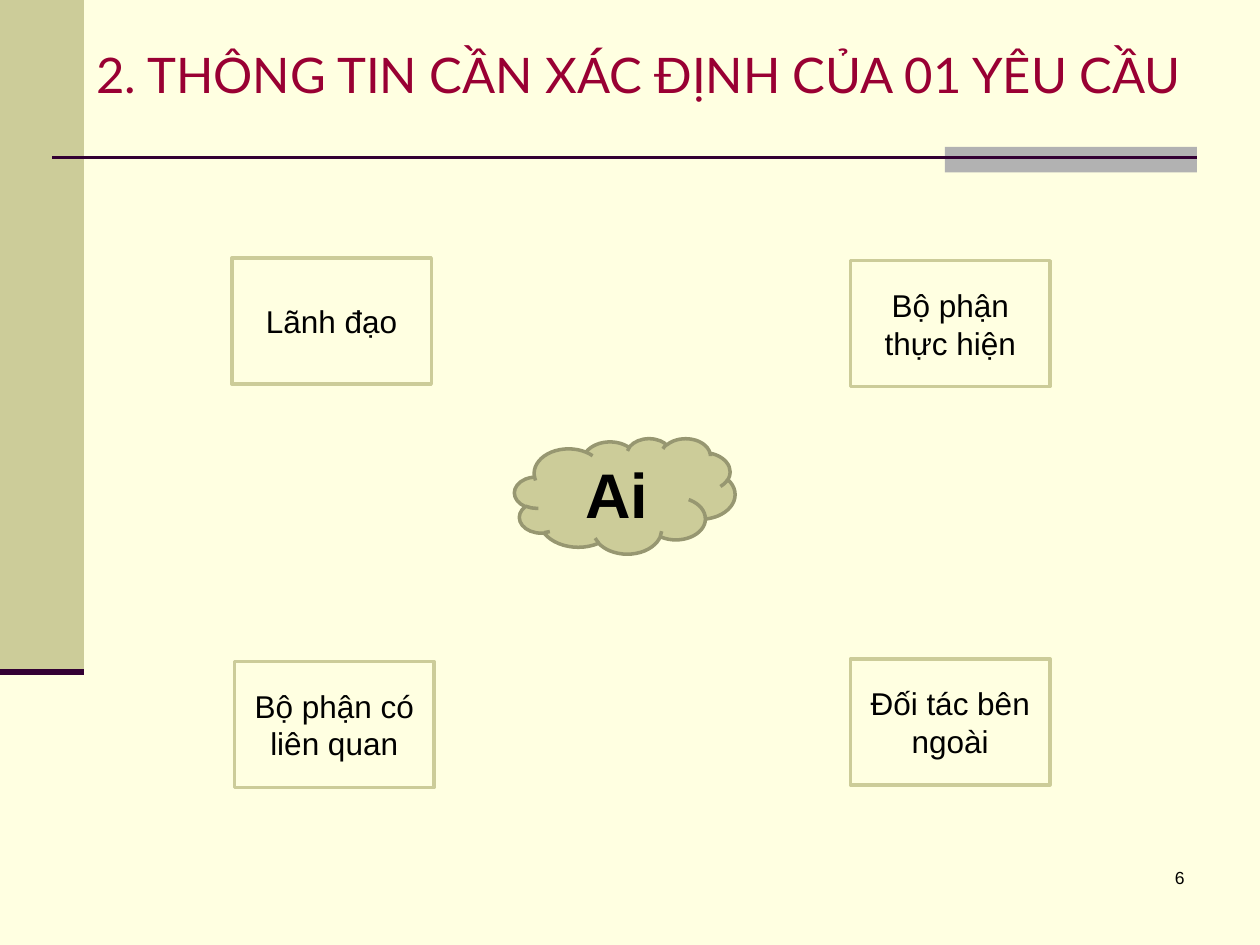
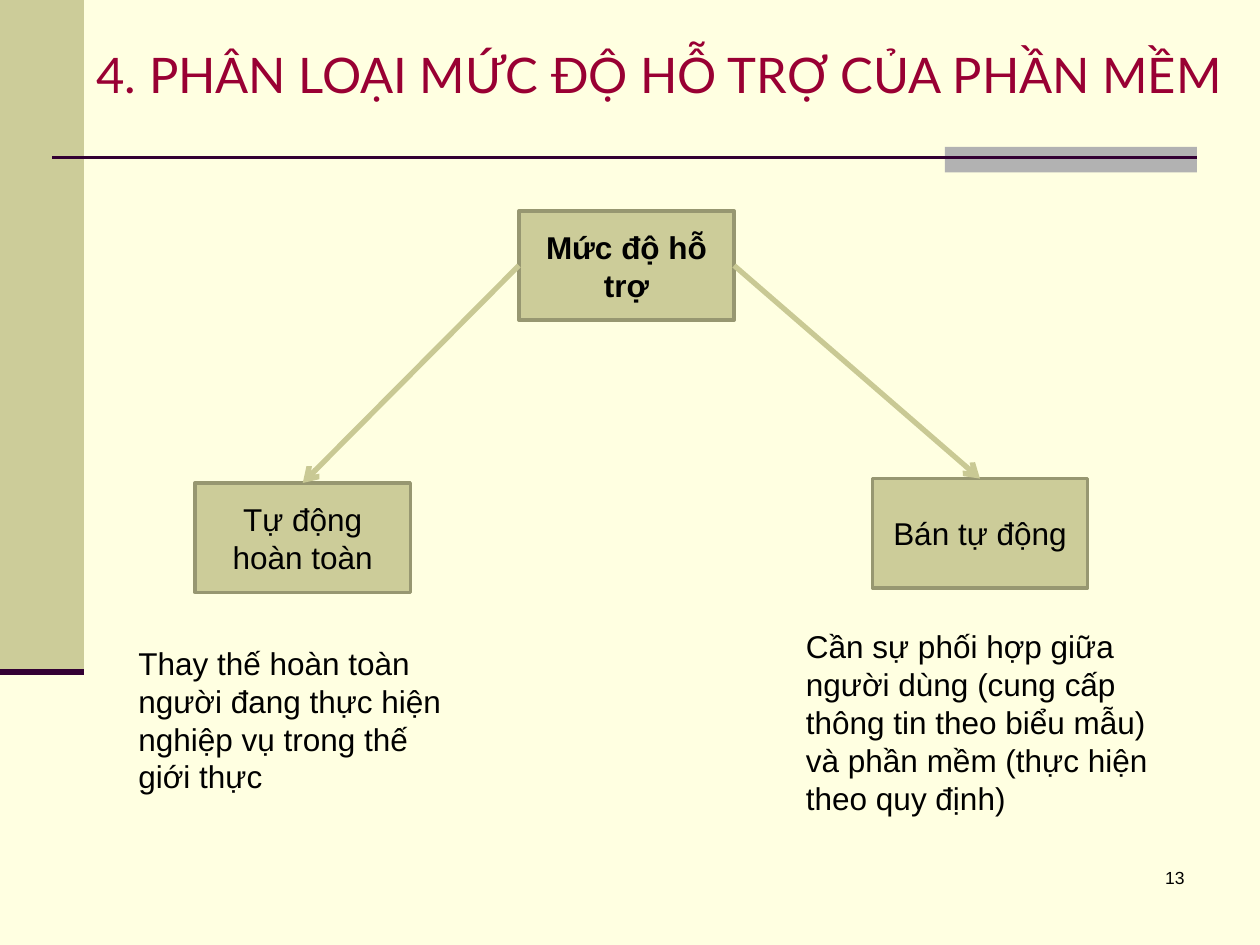
import pptx
import pptx.util
import pptx.dml.color
import pptx.enum.shapes
import pptx.enum.text
import pptx.oxml.ns
import lxml.etree

Pt = pptx.util.Pt
RGB = pptx.dml.color.RGBColor
Shape = pptx.enum.shapes.MSO_SHAPE
Align = pptx.enum.text.PP_ALIGN
Anchor = pptx.enum.text.MSO_ANCHOR
Fit = pptx.enum.text.MSO_AUTO_SIZE

CREAM = RGB(0xFF, 0xFF, 0xE1)
KHAKI = RGB(0xCC, 0xCC, 0x99)
OLIVE = RGB(0x97, 0x97, 0x71)
ARROW = RGB(0xC9, 0xC9, 0x94)
GREY = RGB(0xB2, 0xB2, 0xB2)
PLUM = RGB(0x33, 0x00, 0x33)
WINE = RGB(0x99, 0x00, 0x33)
BLACK = RGB(0, 0, 0)

TOP, LEFT, RIGHT = 0, 1, 3


def write(frame, text, size=18, font="Arial", color=BLACK, bold=False,
          align=Align.LEFT, anchor=Anchor.TOP, fit=Fit.NONE):
    frame.word_wrap = True
    frame.auto_size = fit
    frame.vertical_anchor = anchor
    para = frame.paragraphs[0]
    para.alignment = align
    run = para.add_run()
    run.text = text
    run.font.size = Pt(size)
    run.font.name = font
    run.font.bold = bold
    run.font.color.rgb = color


class Deck:
    def __init__(self):
        self.prs = pptx.Presentation()
        self.prs.slide_width = Pt(720)
        self.prs.slide_height = Pt(540)
        back = self.prs.slide_master.background.fill
        back.solid()
        back.fore_color.rgb = CREAM
        self.slide = None

    def start(self, title, number):
        """Add a slide with its bands, title and page number."""
        self.slide = self.prs.slides.add_slide(self.prs.slide_layouts[5])
        self.shape(0, 0, 48, 384)
        self.shape(540, 84, 144, 14.5, fill=GREY)
        self.line((30, 90), (684, 90))
        self.line((0, 384), (48, 384), width=3.5)
        head = self.slide.shapes.title
        head.left, head.top, head.width, head.height = map(Pt, (48, 0, 672, 84))
        write(head.text_frame, title, size=28, font="Lato", color=WINE,
              anchor=Anchor.MIDDLE)
        self.text(534, 492, 150, 36, str(number), size=10, align=Align.RIGHT)

    def shape(self, x, y, w, h, text="", kind=Shape.RECTANGLE, fill=KHAKI,
              edge=None, **style):
        item = self.slide.shapes.add_shape(kind, Pt(x), Pt(y), Pt(w), Pt(h))
        item.shadow.inherit = False
        item.fill.solid()
        item.fill.fore_color.rgb = fill
        if edge is None:
            item.line.fill.background()
        else:
            item.line.color.rgb = edge
            item.line.width = Pt(2)
        if text:
            write(item.text_frame, text, align=Align.CENTER,
                  anchor=Anchor.MIDDLE, **style)
        return item

    def text(self, x, y, w, h, text, **style):
        item = self.slide.shapes.add_textbox(Pt(x), Pt(y), Pt(w), Pt(h))
        write(item.text_frame, text, **style)

    def line(self, start, end, color=PLUM, width=1.5):
        item = self.slide.shapes.add_connector(
            pptx.enum.shapes.MSO_CONNECTOR.STRAIGHT, *map(Pt, start + end))
        item.line.color.rgb = color
        item.line.width = Pt(width)
        lxml.etree.SubElement(item._element.spPr, pptx.oxml.ns.qn("a:effectLst"))
        return item

    def arrow(self, source, side, target):
        """Join one side of source to the top of target."""
        item = self.line((0, 0), (0, 0), color=ARROW, width=3)
        item.begin_connect(source, side)
        item.end_connect(target, TOP)
        tip = lxml.etree.SubElement(item.line._get_or_add_ln(),
                                    pptx.oxml.ns.qn("a:tailEnd"))
        tip.set("type", "arrow")


def show_people(deck):
    deck.start("2. THÔNG TIN CẦN XÁC ĐỊNH CỦA 01 YÊU CẦU", 6)
    people = [
        (486, 149, "Bộ phận thực hiện"),
        (486, 376.5, "Đối tác bên ngoài"),
        (134, 378, "Bộ phận có liên quan"),
        (132.5, 147.5, "Lãnh đạo"),
    ]
    for x, y, name in people:
        deck.shape(x, y, 114, 72, name, fill=CREAM, edge=KHAKI)
    deck.shape(294, 250.5, 126, 66, "Ai", kind=Shape.CLOUD, edge=OLIVE,
               size=36, bold=True)


def show_levels(deck):
    deck.start("4. PHÂN LOẠI MỨC ĐỘ HỖ TRỢ CỦA PHẦN MỀM", 13)
    wide, high = 123, 62.5
    root = deck.shape(296.5, 120.5, wide, high, "Mức độ hỗ trợ",
                      edge=OLIVE, bold=True)
    levels = [
        (111.5, 276, "Tự động hoàn toàn", LEFT, (72, 364.5, 201.5, 94.5),
         "Thay thế hoàn toàn người đang thực hiện nghiệp vụ trong thế "
         "giới thực"),
        (498.5, 273.5, "Bán tự động", RIGHT, (453.5, 355, 219, 116.5),
         "Cần sự phối hợp giữa người dùng (cung cấp thông tin theo biểu mẫu) "
         "và phần mềm (thực hiện theo quy định)"),
    ]
    for x, y, name, side, place, note in levels:
        box = deck.shape(x, y, wide, high, name, edge=OLIVE)
        deck.arrow(root, side, box)
        deck.text(*place, note, fit=Fit.SHAPE_TO_FIT_TEXT)


def main():
    deck = Deck()
    show_people(deck)
    show_levels(deck)
    deck.prs.save("out.pptx")


if __name__ == "__main__":
    main()
